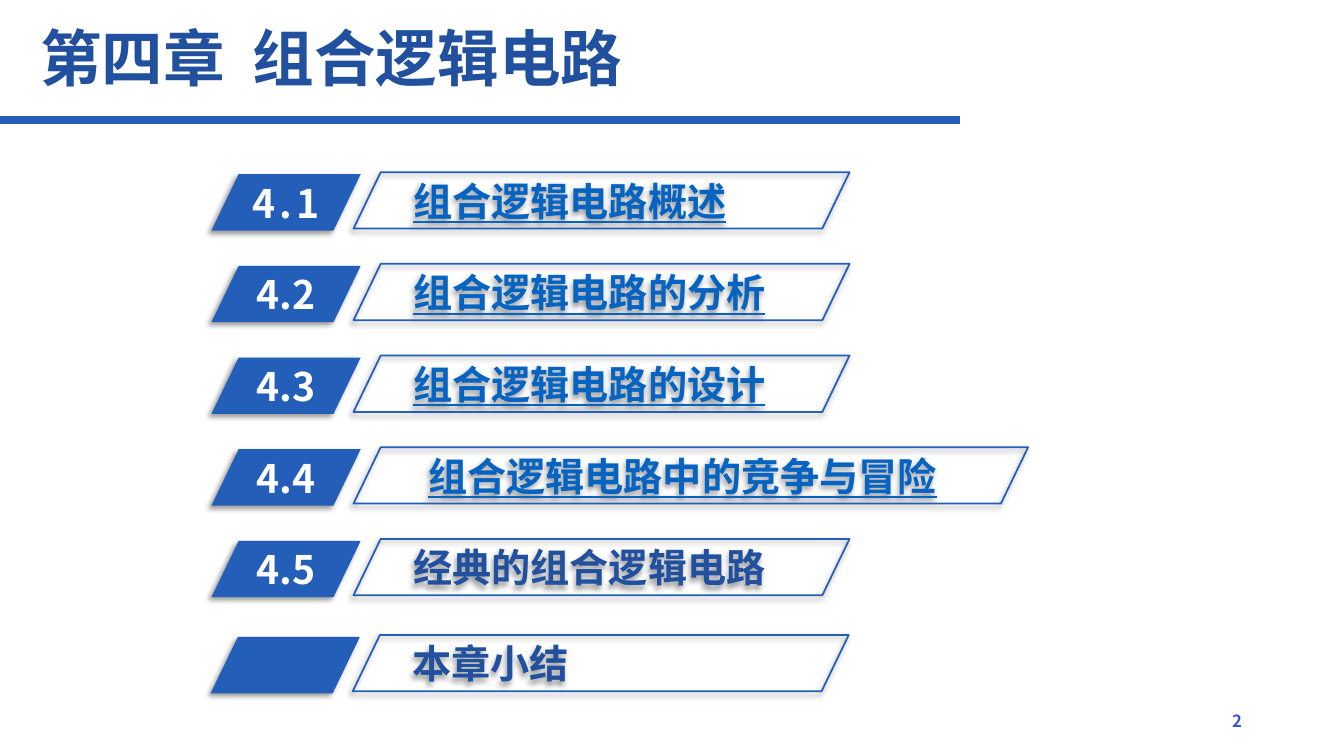
from lxml import etree
from pptx import Presentation
from pptx.dml.color import RGBColor
from pptx.enum.shapes import MSO_CONNECTOR, MSO_SHAPE
from pptx.enum.text import MSO_ANCHOR, PP_ALIGN
from pptx.oxml.ns import qn
from pptx.util import Cm, Pt

SLANT = MSO_SHAPE.PARALLELOGRAM
LINE = MSO_CONNECTOR.STRAIGHT
MIDDLE = MSO_ANCHOR.MIDDLE
LEFT, CENTER, RIGHT = PP_ALIGN.LEFT, PP_ALIGN.CENTER, PP_ALIGN.RIGHT

FONT = "Noto Sans CJK SC"
BLUE, NAVY, LINK, PAGE, WHITE = "235EB8", "21509E", "0563C1", "3859CD", "FFFFFF"

# Number, topic, text colour, width of the topic bar
TOPICS = [
    ("4.1", "组合逻辑电路概述", LINK, 12.5),
    ("4.2", "组合逻辑电路的分析", LINK, 12.5),
    ("4.3", "组合逻辑电路的设计", LINK, 12.5),
    ("4.4", "组合逻辑电路中的竞争与冒险", LINK, 17),
    ("4.5", "经典的组合逻辑电路", NAVY, 12.5),
]
ROW_LEFT, ROW_TOP, PITCH = 5.33, 4.39, 2.31
HEIGHT, TAG_WIDTH = 1.42, 3.76


def color(code):
    return RGBColor.from_string(code)


def write(frame, text, size, code, align=LEFT, under=False, space=0):
    frame.word_wrap = True
    frame.vertical_anchor = MIDDLE
    para = frame.paragraphs[0]
    para.text = text
    para.alignment = align
    font = para.font
    font.size, font.bold, font.name = Pt(size), True, FONT
    font.color.rgb = color(code)
    if under:
        font.underline = True
    props = para._p.pPr.find(qn("a:defRPr"))
    etree.SubElement(props, qn("a:ea")).set("typeface", FONT)
    if space:
        props.set("spc", str(space * 100))


def label(slide, left, top, width, height, *args):
    box = slide.shapes.add_textbox(Cm(left), Cm(top), Cm(width), Cm(height))
    write(box.text_frame, *args)


def shade(shape):
    shape.shadow.inherit = False
    effects = shape._element.spPr.find(qn("a:effectLst"))
    outer = etree.SubElement(effects, qn("a:outerShdw"), blurRad=str(Pt(4)),
                             dist=str(Pt(3)), dir=str(135 * 60000),
                             algn="tr", rotWithShape="0")
    black = etree.SubElement(outer, qn("a:srgbClr"), val="000000")
    etree.SubElement(black, qn("a:alpha"), val="40000")


def slant(slide, left, top, width):
    shape = slide.shapes.add_shape(SLANT, Cm(left), Cm(top), Cm(width), Cm(HEIGHT))
    shape.adjustments[0] = 0.482
    shade(shape)
    return shape


def row(slide, left, top, number, topic, code, width):
    # Number tag
    tag = slant(slide, left, top, TAG_WIDTH)
    tag.fill.solid()
    tag.fill.fore_color.rgb = color(BLUE)
    tag.line.fill.background()
    if number:
        write(tag.text_frame, number, 28, WHITE, CENTER, False,
              3 if number == "4.1" else 0)

    # Topic bar
    bar = slant(slide, left + 3.58, top - 0.05, width)
    bar.fill.background()
    bar.line.color.rgb = color(BLUE)
    bar.line.width = Pt(1.25)
    frame = bar.text_frame
    frame.margin_left = frame.margin_right = Cm(0.18)
    frame.margin_top = frame.margin_bottom = Cm(0.1)
    write(frame, topic, 28, code, LEFT, code == LINK)


def header(slide, left, top, width):
    label(slide, left + 0.76, top + 0.46, 15.75, 1.93, "第四章  组合逻辑电路", 44, NAVY)
    level = Cm(top + 3.02)
    rule = slide.shapes.add_connector(LINE, Cm(left), level, Cm(left + width), level)
    rule.line.color.rgb = color(BLUE)
    rule.line.width = Pt(6)
    etree.SubElement(rule._element.spPr, qn("a:effectLst"))


def agenda(slide, left, top):
    for index, topic in enumerate(TOPICS):
        row(slide, left, top + index * PITCH, *topic)
    # Summary row, set a little further down
    row(slide, left - 0.02, top + 11.66, "", "本章小结", NAVY, 12.5)


def main():
    deck = Presentation()
    deck.slide_width, deck.slide_height = Cm(33.87), Cm(19.05)
    slide = deck.slides.add_slide(deck.slide_layouts[6])
    header(slide, 0, 0, 24.2)
    agenda(slide, ROW_LEFT, ROW_TOP)
    label(slide, 23.93, 17.65, 7.62, 1.02, "2", 12, PAGE, RIGHT)
    deck.save("out.pptx")


if __name__ == "__main__":
    main()
